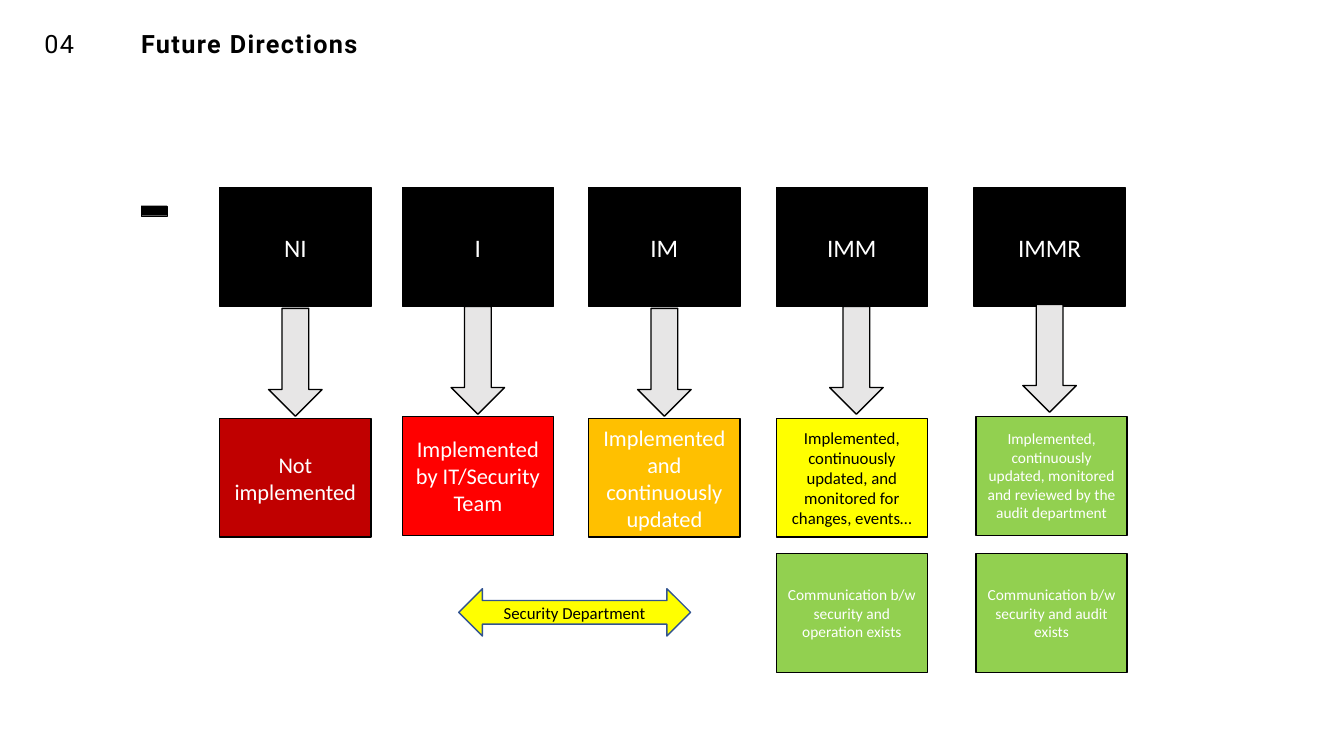
from pptx import Presentation
from pptx.dml.color import RGBColor
from pptx.enum.shapes import MSO_SHAPE as SHAPE
from pptx.enum.text import MSO_ANCHOR as ANCHOR, PP_ALIGN as ALIGN
from pptx.util import Inches, Pt

WIDTH, HEIGHT = Inches(13.33), Inches(7.5)

BLACK = RGBColor(0, 0, 0)
WHITE = RGBColor(255, 255, 255)
GRAY = RGBColor(0xE7, 0xE6, 0xE6)
DARK_RED = RGBColor(0xC0, 0, 0)
RED = RGBColor(255, 0, 0)
ORANGE = RGBColor(255, 0xC0, 0)
YELLOW = RGBColor(255, 255, 0)
GREEN = RGBColor(0x92, 0xD0, 0x50)
BLUE = RGBColor(0x32, 0x54, 0x91)

CARD_W, CARD_H = 11.25, 15.73
ARROW_W, ARROW_H = 3.98, 14.27
LEVEL_TOP, TEAM_TOP = 24.8, 73.2

LEVELS = [
    ("NI", 16.35, 16.35, 40.8, 55.33, DARK_RED, WHITE, 16, "Not implemented"),
    ("I", 29.93, 29.93, 40.53, 55.07, RED, WHITE, 16,
     "Implemented by IT/Security Team"),
    ("IM", 43.81, 43.81, 40.8, 55.33, ORANGE, WHITE, 16,
     "Implemented and continuously updated"),
    ("IMM", 57.76, 57.76, 40.53, 55.33, YELLOW, BLACK, 12,
     "Implemented, continuously updated, and monitored for changes, events…"),
    ("IMMR", 72.47, 72.62, 40.27, 55.07, GREEN, WHITE, 11,
     "Implemented, continuously updated, monitored and reviewed "
     "by the audit department"),
]
TEAMS = [
    (57.76, "Communication b/w security and operation exists"),
    (72.62, "Communication b/w security and audit exists"),
]


def share(left, top, width, height):
    return (int(WIDTH * left / 100), int(HEIGHT * top / 100),
            int(WIDTH * width / 100), int(HEIGHT * height / 100))


def apply(target, **values):
    for name, value in values.items():
        setattr(target, name, value)


def add_run(p, text, size, color, font, bold=False):
    r = p.add_run()
    r.text = text
    apply(r.font, name=font, size=Pt(size), bold=bold)
    r.font.color.rgb = color
    return r


def add_block(s, kind, box, fill, line=BLACK, weight=1):
    sp = s.shapes.add_shape(kind, *share(*box))
    sp.shadow.inherit = False
    sp.fill.solid()
    sp.fill.fore_color.rgb = fill
    sp.line.color.rgb = line
    sp.line.width = Pt(weight)
    return sp


def add_label(sp, text, size, color):
    tf = sp.text_frame
    apply(tf, word_wrap=True, vertical_anchor=ANCHOR.MIDDLE)
    p = tf.paragraphs[0]
    p.alignment = ALIGN.CENTER
    add_run(p, text, size, color, "Calibri")


def add_card(s, left, top, text, size, fill, color=WHITE):
    sp = add_block(s, SHAPE.RECTANGLE, (left, top, CARD_W, CARD_H), fill)
    add_label(sp, text, size, color)


def add_heading(s, left, width, text, bold=False):
    tf = s.shapes.add_textbox(*share(left, 4.13, width, 2.67)).text_frame
    apply(tf, word_wrap=True, margin_left=0, margin_top=0,
          margin_right=0, margin_bottom=0)
    p = tf.paragraphs[0]
    p.line_spacing = 0.9
    r = add_run(p, text, 18, BLACK, "Roboto", bold)
    r.font._element.set("spc", "100")


def add_level(s, name, left, result_left, arrow_top, result_top,
              fill, color, size, result):
    add_card(s, left, LEVEL_TOP, name, 18, BLACK)
    nudge = 0.34 if name == "IMM" else 0
    arrow_left = left + (CARD_W - ARROW_W) / 2 + nudge
    add_block(s, SHAPE.DOWN_ARROW,
              (arrow_left, arrow_top, ARROW_W, ARROW_H), GRAY)
    add_card(s, result_left, result_top, result, size, fill, color)


def main():
    prs = Presentation()
    apply(prs, slide_width=WIDTH, slide_height=HEIGHT)
    s = prs.slides.add_slide(prs.slide_layouts[6])

    add_block(s, SHAPE.RECTANGLE, (10.5, 27.2, 1.95, 1.33), BLACK, weight=0.2)
    add_heading(s, 10.5, 51, "Future Directions", bold=True)
    add_heading(s, 3.3, 5.7, "04")

    for level in LEVELS:
        add_level(s, *level)
    for left, text in TEAMS:
        add_card(s, left, TEAM_TOP, text, 11, GREEN)

    span = add_block(s, SHAPE.LEFT_RIGHT_ARROW,
                     (34.13, 77.87, 17.25, 6.27), YELLOW, BLUE)
    add_label(span, "Security Department", 12, BLACK)

    prs.save("out.pptx")


if __name__ == "__main__":
    main()
